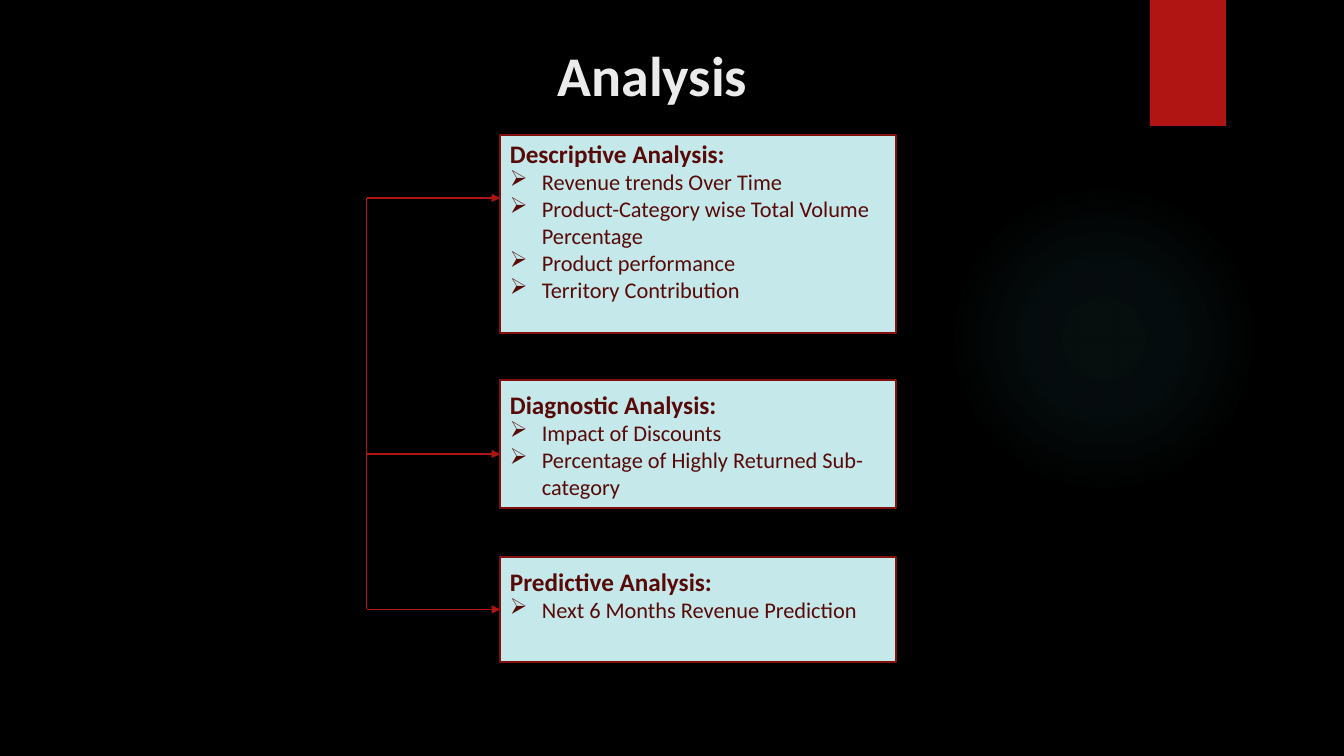
from lxml import etree
from pptx import Presentation
from pptx import util as u
from pptx.dml.color import RGBColor
from pptx.enum import shapes, text
from pptx.oxml import parse_xml
from pptx.oxml.ns import nsdecls, qn

EMU_PER_PX = 12192000 / 1344
FONT = "Calibri"
RED, MAROON, PALE, GLOW = "B01513", "580A09", "C5E8EA", "50B9C1"
BOX_LEFT, BOX_WIDTH, TRUNK_X = 500, 396, 367
# top, height, space above text, arrow y (None: middle of side), heading, bullets
ANALYSES = [
    (135, 198, 3, 198, "Descriptive Analysis:",
     ["Revenue trends Over Time", "Product-Category wise Total Volume Percentage",
      "Product performance", "Territory Contribution"]),
    (380, 128, 9, 454, "Diagnostic Analysis:",
     ["Impact of Discounts", "Percentage of Highly Returned Sub-category"]),
    (557, 105, 9, None, "Predictive Analysis:",
     ["Next 6 Months Revenue Prediction"]),
]


def px(n):
    return u.Emu(round(n * EMU_PER_PX))


def rgb(value):
    return RGBColor.from_string(value)


def write(p, words, size=16, color=MAROON, bold=False, align=text.PP_ALIGN.LEFT):
    p.alignment = align
    r = p.add_run()
    r.text = words
    r.font.name, r.font.size, r.font.bold = FONT, u.Pt(size), bold
    r.font.color.rgb = rgb(color)


def add_bullet(p, indent=32):
    pPr = p._p.get_or_add_pPr()
    pPr.set("marL", str(px(indent)))
    pPr.set("indent", str(-px(indent)))
    etree.SubElement(pPr, qn("a:buChar")).set("char", "➢")


def add_block(s, kind, left, top, width, height, fill, line=None):
    sp = s.shapes.add_shape(kind, px(left), px(top), px(width), px(height))
    sp.shadow.inherit = False
    sp.fill.solid()
    sp.fill.fore_color.rgb = rgb(fill)
    if line:
        sp.line.color.rgb = rgb(line)
        sp.line.width = u.Pt(1.5)
    else:
        sp.line.fill.background()
    return sp


def add_line(s, x1, y1, x2, y2, arrow=False):
    c = s.shapes.add_connector(shapes.MSO_CONNECTOR.STRAIGHT,
                               px(x1), px(y1), px(x2), px(y2))
    c.line.color.rgb = rgb(RED)
    c.line.width = u.Pt(0.75)
    if arrow:
        etree.SubElement(c.line._get_or_add_ln(), qn("a:tailEnd")).set("type", "triangle")
    etree.SubElement(c._element.spPr, qn("a:effectLst"))
    return c


def add_glow(s, left, top, size):
    """Faint round light that fades out towards its rim."""
    sp = add_block(s, shapes.MSO_SHAPE.OVAL, left, top, size, size, GLOW)
    stops = "".join(
        f'<a:gs pos="{pos}000"><a:srgbClr val="{GLOW}"><a:alpha val="{alpha}000"/>'
        "</a:srgbClr></a:gs>" for pos, alpha in ((0, 7), (36, 6), (69, 0)))
    gradient = parse_xml(
        f'<a:gradFill {nsdecls("a")}><a:gsLst>{stops}</a:gsLst><a:path path="circle">'
        '<a:fillToRect l="50000" t="50000" r="50000" b="50000"/></a:path></a:gradFill>')
    spPr = sp._element.spPr
    spPr.replace(spPr.find(qn("a:solidFill")), gradient)


def add_title(s, words, left, top, width, height):
    sp = s.shapes.title
    sp.left, sp.top, sp.width, sp.height = map(px, (left, top, width, height))
    sp.text_frame.vertical_anchor = text.MSO_ANCHOR.MIDDLE
    write(sp.text_frame.paragraphs[0], words, size=40, color="EBEBEB", bold=True,
          align=text.PP_ALIGN.CENTER)


def add_analysis(s, top, height, inset, heading, bullets):
    sp = add_block(s, shapes.MSO_SHAPE.RECTANGLE, BOX_LEFT, top, BOX_WIDTH, height,
                   PALE, line="82100E")
    tf = sp.text_frame
    tf.word_wrap = True
    tf.vertical_anchor = text.MSO_ANCHOR.TOP
    tf.margin_top, tf.margin_bottom = px(inset), 0
    write(tf.paragraphs[0], heading, size=18, bold=True)
    for words in bullets:
        p = tf.add_paragraph()
        write(p, words)
        add_bullet(p)
    return sp


def add_analyses(s):
    """Stack of boxes, each fed by an arrow from one trunk line."""
    ends = []
    for top, height, inset, arrow_y, heading, bullets in ANALYSES:
        box = add_analysis(s, top, height, inset, heading, bullets)
        y = arrow_y or top + height / 2
        arrow = add_line(s, TRUNK_X, y, BOX_LEFT, y, arrow=True)
        if arrow_y is None:
            arrow.end_connect(box, 1)
        ends.append(y)
    add_line(s, TRUNK_X, ends[0], TRUNK_X, ends[-1])


def main():
    prs = Presentation()
    prs.slide_width, prs.slide_height = px(1344), px(756)
    s = prs.slides.add_slide(prs.slide_layouts[5])
    s.background.fill.solid()
    s.background.fill.fore_color.rgb = rgb("000000")
    add_glow(s, 949, 184, 310)
    add_block(s, shapes.MSO_SHAPE.RECTANGLE, 1150, 0, 76, 126, RED)
    add_title(s, "Analysis", 464, 31, 377, 87)
    add_analyses(s)
    prs.save("out.pptx")


if __name__ == "__main__":
    main()
